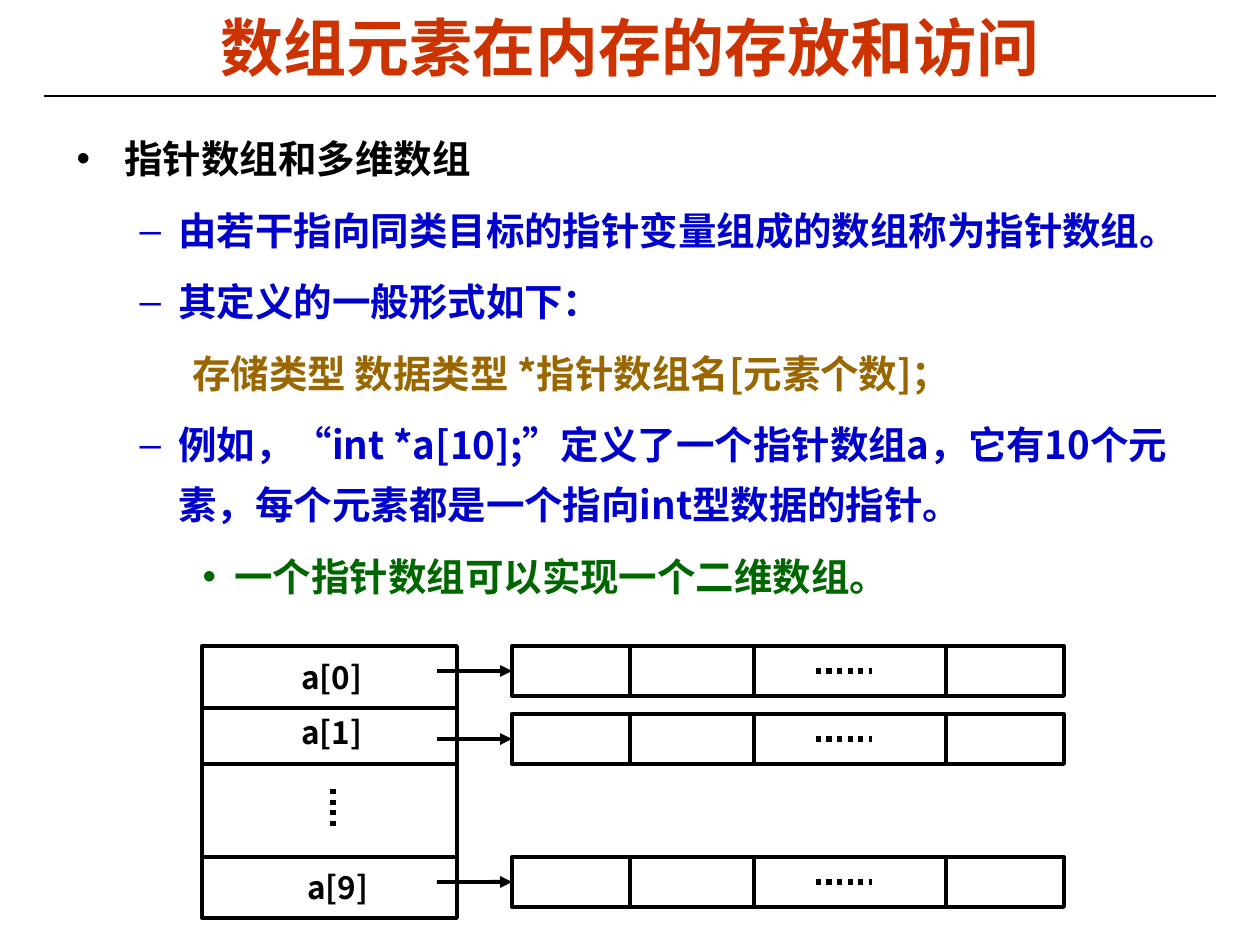
"""Build the slide on pointer arrays and how their elements are stored."""
from dataclasses import dataclass

from lxml import etree
from pptx import Presentation, util as u
from pptx.dml.color import RGBColor
from pptx.enum import dml, shapes, text
from pptx.oxml.ns import qn


@dataclass(frozen=True)
class Theme:
    """Colours, fonts and sizes of the slide."""

    ink: str = "000000"
    paper: str = "FFFFFF"
    title: str = "CC3300"
    point: str = "0000CC"
    syntax: str = "996600"
    remark: str = "006600"
    latin: str = "Arial"
    cjk: str = "Noto Sans CJK SC"
    title_size: int = 36
    body_size: int = 22
    label_size: int = 18
    rule: float = 0.75
    border: float = 2.25
    dots: float = 3


THEME = Theme()
POINTS = [
    ("指针数组和多维数组", 0, THEME.ink, 48, -48),
    ("由若干指向同类目标的指针变量组成的数组称为指针数组。", 1, THEME.point, 102, -39),
    ("其定义的一般形式如下：", 1, THEME.point, 102, -39),
    ("存储类型 数据类型 *指针数组名[元素个数]；", 1, THEME.syntax, 116, 0),
    ("例如，“int *a[10];”定义了一个指针数组a，它有10个元素，"
     "每个元素都是一个指向int型数据的指针。", 1, THEME.point, 102, -39),
    ("一个指针数组可以实现一个二维数组。", 2, THEME.remark, 158, -32),
]
POINTER_COLUMN = (202, 646, 255, 272)
POINTER_BREAKS = (708, 764, 857)
ROW_TOPS = (646, 714, 857)
ROW_LEFT, ROW_WIDTH, ROW_HEIGHT = 512, 552, 50
CELL_BREAKS = (630, 754, 946)
LABELS = [("a[0]", 289, 658), ("a[1]", 289, 713), ("a[9]", 295, 868)]


def px(length):
    """Turn pixels into EMU."""
    return u.Emu(round(length * 914400 / 126))


def assign(target, values):
    """Set attributes from a dict of format values."""
    for name, value in values.items():
        setattr(target, name, value)


def place(shape, left, top, width, height):
    """Move and size a shape in pixels."""
    assign(shape, {"left": px(left), "top": px(top),
                   "width": px(width), "height": px(height)})


def write(paragraph, wording, size, colour, latin=THEME.cjk):
    """Add one bold run with its Latin and East Asian fonts."""
    run = paragraph.add_run()
    run.text = wording
    assign(run.font, {"size": u.Pt(size), "bold": True, "name": latin})
    run.font.color.rgb = RGBColor.from_string(colour)
    east_asian = etree.Element(qn("a:ea"), typeface=THEME.cjk)
    run.font._element.find(qn("a:latin")).addnext(east_asian)


def add_title(slide, wording):
    """Fill the title placeholder and rule it off below."""
    title = slide.shapes.title
    place(title, 63, 8, 1134, 77)
    assign(title.text_frame, {"auto_size": text.MSO_AUTO_SIZE.NONE,
                              "vertical_anchor": text.MSO_ANCHOR.MIDDLE})
    heading = title.text_frame.paragraphs[0]
    heading.alignment = text.PP_ALIGN.CENTER
    write(heading, wording, THEME.title_size, THEME.title, THEME.latin)
    add_line(slide.shapes, (44, 96), (1216, 96), THEME.rule)


def add_points(slide):
    """Fill the body placeholder with the levelled list."""
    body = slide.placeholders[1]
    place(body, 64, 115, 1134, 518)
    frame = body.text_frame
    frame.auto_size = text.MSO_AUTO_SIZE.NONE
    for index, (wording, level, colour, margin, indent) in enumerate(POINTS):
        point = frame.add_paragraph() if index else frame.paragraphs[0]
        assign(point, {"level": level, "line_spacing": 1.3,
                       "space_before": u.Pt(6.6)})
        layout = point._p.get_or_add_pPr()
        layout.set("marL", str(px(margin)))
        layout.set("indent", str(px(indent)))
        if indent == 0:
            etree.SubElement(layout, qn("a:buNone"))
        write(point, wording, THEME.body_size, colour)


def add_line(parent, start, end, weight=THEME.border, dash=None):
    """Draw a straight line without a shadow."""
    line = parent.add_connector(shapes.MSO_CONNECTOR.STRAIGHT,
                                *map(px, (*start, *end)))
    line.line.color.rgb = RGBColor.from_string(THEME.ink)
    assign(line.line, {"width": u.Pt(weight), "dash_style": dash})
    etree.SubElement(line._element.spPr, qn("a:effectLst"))
    return line


def add_dots(parent, start, end):
    """Draw an ellipsis as a dotted line."""
    add_line(parent, start, end, THEME.dots, dml.MSO_LINE.ROUND_DOT)


def add_box(parent, *bounds):
    """Draw an outlined rectangle."""
    box = parent.add_shape(shapes.MSO_SHAPE.RECTANGLE, *map(px, bounds))
    box.shadow.inherit = False
    box.fill.solid()
    box.fill.fore_color.rgb = RGBColor.from_string(THEME.paper)
    box.line.color.rgb = RGBColor.from_string(THEME.ink)
    box.line.width = u.Pt(THEME.border)
    return box


def add_pointer_column(slide):
    """Draw the stacked cells that hold the pointers."""
    left, _, width, _ = POINTER_COLUMN
    add_box(slide.shapes, *POINTER_COLUMN)
    for y in POINTER_BREAKS:
        add_line(slide.shapes, (left, y), (left + width, y))
    add_dots(slide.shapes, (333, 789), (333, 827))


def add_target_row(slide, top):
    """Draw one row of array elements with the arrow pointing at it."""
    group = slide.shapes.add_group_shape().shapes
    middle = top + ROW_HEIGHT // 2
    row = add_box(group, ROW_LEFT, top, ROW_WIDTH, ROW_HEIGHT)
    for x in CELL_BREAKS:
        add_line(group, (x, top), (x, top + ROW_HEIGHT))
    add_dots(group, (816, middle), (872, middle))
    arrow = add_line(group, (437, middle), (ROW_LEFT, middle))
    arrow.end_connect(row, 1)
    etree.SubElement(arrow.line._get_or_add_ln(), qn("a:tailEnd"), type="triangle")


def add_label(slide, wording, left, top):
    """Name one pointer cell."""
    label = slide.shapes.add_textbox(*map(px, (left, top, 136, 38)))
    assign(label.text_frame, {"word_wrap": True, "margin_top": 0, "margin_bottom": 0,
                              "auto_size": text.MSO_AUTO_SIZE.SHAPE_TO_FIT_TEXT})
    write(label.text_frame.paragraphs[0], wording, THEME.label_size, THEME.ink)


def main():
    """Build and save the slide."""
    deck = Presentation()
    assign(deck, {"slide_width": px(1260), "slide_height": px(945)})
    slide = deck.slides.add_slide(deck.slide_layouts[1])
    add_title(slide, "数组元素在内存的存放和访问")
    add_points(slide)
    add_pointer_column(slide)
    for top in ROW_TOPS:
        add_target_row(slide, top)
    for label in LABELS:
        add_label(slide, *label)
    deck.save("out.pptx")


if __name__ == "__main__":
    main()
